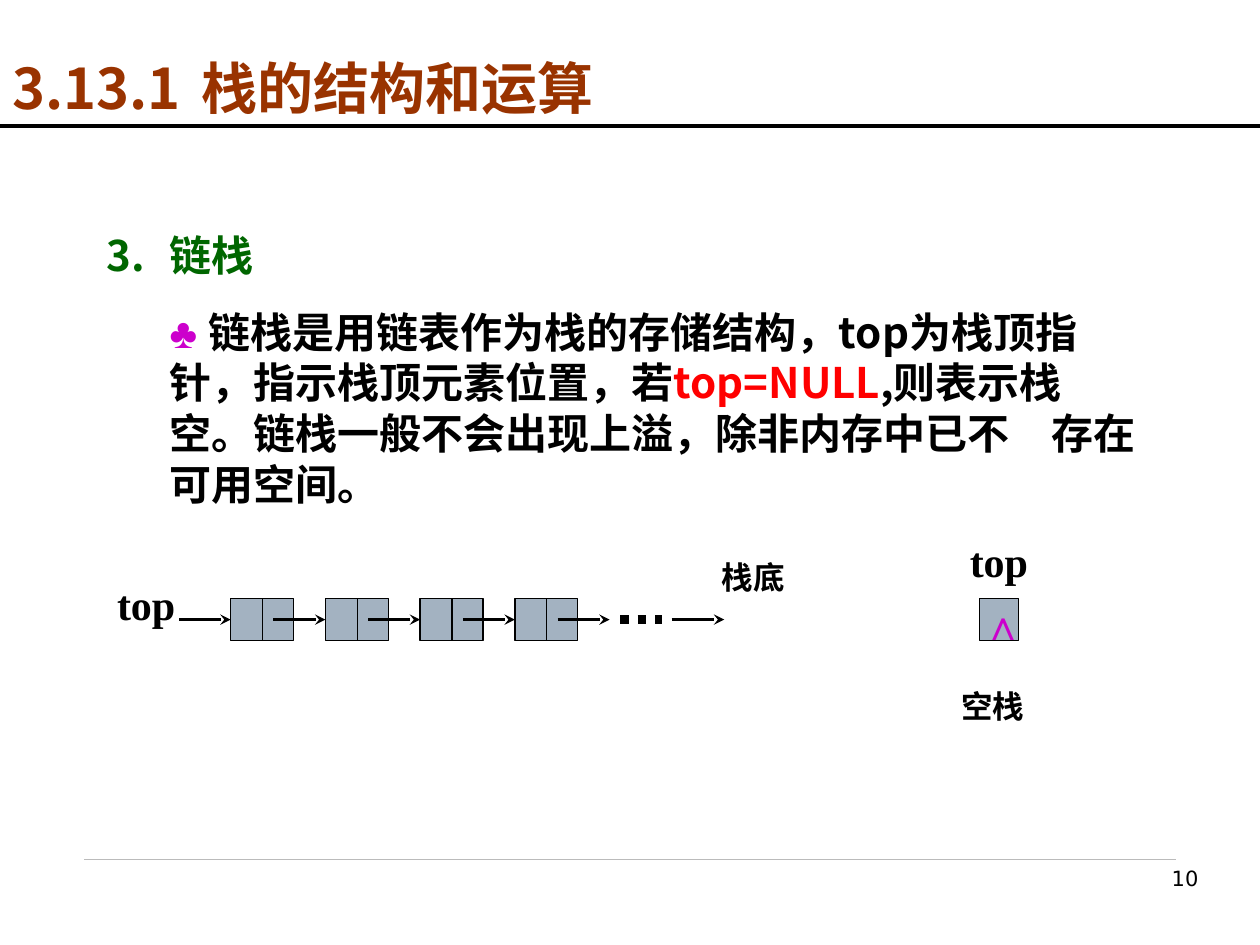
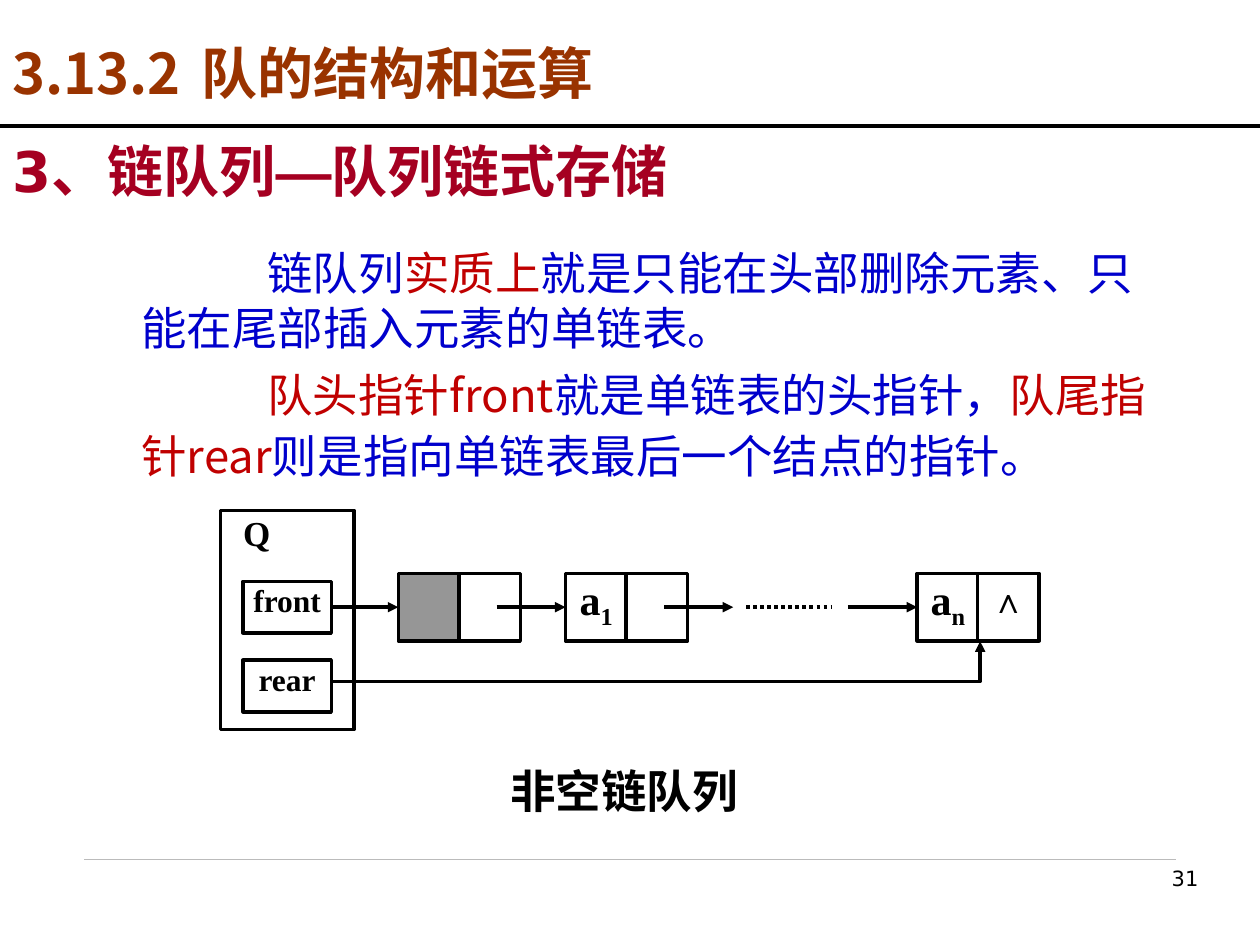
from pptx import Presentation
from pptx.dml.color import RGBColor
from pptx.enum.dml import MSO_LINE
from pptx.enum.shapes import MSO_CONNECTOR, MSO_SHAPE
from pptx.enum.text import MSO_ANCHOR, MSO_AUTO_SIZE, PP_ALIGN
from pptx.oxml.ns import qn
from pptx.util import Cm, Pt
from lxml.etree import SubElement

COLORS = {
    "black": "000000", "white": "FFFFFF", "rule": "BBBBBB",
    "heading": "993300", "subheading": "A50021", "green": "006600",
    "magenta": "CC00CC", "red": "FF0000", "blue": "0000CC",
    "dark_red": "C00000", "node": "A3B2C1", "head_node": "969696",
}
CJK = "Noto Sans CJK SC"
SERIF = "Times New Roman"
HEADING = {"name": CJK, "size": Pt(32), "bold": True, "color": "heading"}
SUBHEADING = {"name": "DejaVu Sans", "size": Pt(32), "bold": True, "color": "subheading"}
STACK_TEXT = {"name": CJK, "size": Pt(24), "bold": True, "color": "black"}
QUEUE_TEXT = {"name": CJK, "size": Pt(26), "bold": False, "color": "blue"}
CAPTION = {"name": CJK, "size": Pt(26), "bold": True, "color": "black"}
PAGE_NUMBER = {"name": "DejaVu Sans", "size": Pt(12), "color": "black"}
LABEL = {"name": SERIF, "size": Pt(24), "bold": True, "color": "black"}
MEDIUM_LABEL = {**LABEL, "size": Pt(20)}
SMALL_LABEL = {**LABEL, "size": Pt(18)}
INSETS = (0.25, 0.13, 0.25, 0.13)
NO_INSETS = (0, 0, 0, 0)


def rgb(name):
    return RGBColor.from_string(COLORS[name])


def add_run(paragraph, text, style):
    run = paragraph.add_run()
    run.text = text
    values = dict(style)
    run.font.color.rgb = rgb(values.pop("color"))
    baseline = values.pop("baseline", None)
    for attribute, value in values.items():
        setattr(run.font, attribute, value)
    properties = run._r.get_or_add_rPr()
    east_asian = CJK if values["name"] != "Arial" else "Arial"
    SubElement(properties, qn("a:ea")).set("typeface", east_asian)
    if baseline:
        properties.set("baseline", baseline)


def write_paragraph(paragraph, runs, style, **format_values):
    for attribute, value in format_values.items():
        setattr(paragraph, attribute, value)
    for text, changes in runs:
        for index, line in enumerate(text.split("\n")):
            if index:
                paragraph.add_line_break()
            add_run(paragraph, line, {**style, **changes})


def set_list_format(paragraph, left, first, start=None, tab=None):
    properties = paragraph._p.get_or_add_pPr()
    properties.set("marL", str(Cm(left)))
    properties.set("indent", str(Cm(first)))
    if start:
        number = SubElement(properties, qn("a:buFont"))
        number.set("typeface", "+mj-lt")
        number = SubElement(properties, qn("a:buAutoNum"))
        number.set("type", "arabicPeriod")
        number.set("startAt", str(start))
    else:
        SubElement(properties, qn("a:buNone"))
    if tab:
        stop = SubElement(SubElement(properties, qn("a:tabLst")), qn("a:tab"))
        stop.set("pos", str(Cm(tab)))
        stop.set("algn", "l")


def prepare_frame(shape, insets=INSETS, anchor=MSO_ANCHOR.TOP):
    frame = shape.text_frame
    left, top, right, bottom = (Cm(inset) for inset in insets)
    values = {
        "word_wrap": True, "auto_size": MSO_AUTO_SIZE.NONE, "vertical_anchor": anchor,
        "margin_left": left, "margin_top": top,
        "margin_right": right, "margin_bottom": bottom,
    }
    for attribute, value in values.items():
        setattr(frame, attribute, value)
    return frame


def place(shape, left, top, width, height):
    shape.left, shape.top = Cm(left), Cm(top)
    shape.width, shape.height = Cm(width), Cm(height)


def add_text(slide, box, runs, style, insets=INSETS, anchor=MSO_ANCHOR.TOP, **format_values):
    text_box = slide.shapes.add_textbox(*(Cm(value) for value in box))
    frame = prepare_frame(text_box, insets, anchor)
    write_paragraph(frame.paragraphs[0], runs, style, **format_values)


def add_line(slide, start, end, width=2, color="black", arrow=None, dash=None,
             source=None, target=None):
    line = slide.shapes.add_connector(
        MSO_CONNECTOR.STRAIGHT, *(Cm(value) for value in (*start, *end)))
    line.line.width = Pt(width)
    line.line.color.rgb = rgb(color)
    if dash:
        line.line.dash_style = dash
    if arrow:
        add_arrowhead(line, arrow)
    SubElement(line._element.spPr, qn("a:effectLst"))
    if source is not None:
        line.begin_connect(source, 3)
    if target is not None:
        line.end_connect(target, 1)


def add_arrowhead(shape, kind):
    SubElement(shape.line._get_or_add_ln(), qn("a:tailEnd")).set("type", kind)


def add_box(slide, box, fill=None, width=2.0, runs=(), style=LABEL, insets=NO_INSETS):
    shape = slide.shapes.add_shape(MSO_SHAPE.RECTANGLE, *(Cm(value) for value in box))
    shape.shadow.inherit = False
    if fill:
        shape.fill.solid()
        shape.fill.fore_color.rgb = rgb(fill)
    else:
        shape.fill.background()
    shape.line.width = Pt(width)
    shape.line.color.rgb = rgb("black")
    if runs:
        frame = prepare_frame(shape, insets)
        write_paragraph(frame.paragraphs[0], runs, style, alignment=PP_ALIGN.CENTER)
    return shape


def add_bent_arrow(slide, points):
    (left, top), *others = [(Cm(x), Cm(y)) for x, y in points]
    builder = slide.shapes.build_freeform(left, top)
    builder.add_line_segments(others, close=False)
    shape = builder.convert_to_shape()
    shape.shadow.inherit = False
    shape.fill.background()
    shape.line.width = Pt(2)
    shape.line.color.rgb = rgb("black")
    add_arrowhead(shape, "triangle")


def add_section_slide(presentation, number, heading, top, page):
    slide = presentation.slides.add_slide(presentation.slide_layouts[1])
    title = slide.shapes.title
    place(title, 0, top, 19.48, 1.63)
    paragraph = prepare_frame(title).paragraphs[0]
    set_list_format(paragraph, 0, 0, tab=4.2)
    write_paragraph(paragraph, [(f"{number}\t{heading}", {})], HEADING,
                    alignment=PP_ALIGN.LEFT, line_spacing=Pt(38))
    add_line(slide, (0, 2.54), (25.4, 2.54), width=2.25)
    add_line(slide, (1.7, 17.32), (23.7, 17.32), width=0.25, color="rule")
    add_text(slide, (18.9, 17.32, 5.51, 1.32), [(page, {})], PAGE_NUMBER,
             alignment=PP_ALIGN.RIGHT)
    return slide


def draw_linked_stack(slide):
    first_left, pitch, top, height, middle = 4.65, 1.91, 12.07, 0.84, 12.49
    lefts = [first_left + index * pitch for index in range(4)]
    nodes = [add_box(slide, (left, top, 1.27, height), "node", 0.75) for left in lefts]
    add_line(slide, (3.61, middle), (first_left, middle), arrow="stealth", target=nodes[0])
    for left, following in zip(lefts, nodes[1:] + [None]):
        divider = left + 0.64
        add_line(slide, (divider, top), (divider, top + height), width=0.75)
        add_line(slide, (left + 0.86, middle), (left + pitch, middle),
                 arrow="stealth", target=following)
    add_line(slide, (12.5, middle), (13.34, middle), width=5, dash=MSO_LINE.ROUND_DOT)
    add_line(slide, (13.54, middle), (14.6, middle), arrow="stealth")
    add_box(slide, (19.74, top, 0.79, height), "node", 0.75)
    add_text(slide, (19.74, 12.07, 0.99, 1.14), [("∧", {"color": "magenta"})], LABEL,
             NO_INSETS, alignment=PP_ALIGN.CENTER)
    for left, label_top in ((2.11, 11.53), (19.3, 10.67)):
        add_text(slide, (left, label_top, 1.75, 1.27), [("top", {})], LABEL)
    for text, left, label_top in (("栈底", 14.3, 11.12), ("空栈", 19.13, 13.71)):
        add_text(slide, (left, label_top, 1.9, 1.02), [(text, {})], SMALL_LABEL,
                 line_spacing=Pt(21.6))


def draw_linked_queue(slide):
    middle, cell_width, cell_height, cell_pitch = 12.24, 1.24, 1.36, 1.22
    cell_top = middle - cell_height / 2

    def add_node(left, data, data_fill="white", link=()):
        first = add_box(slide, (left, cell_top, cell_width, cell_height), data_fill,
                        runs=data, insets=(0.05, 0, 0.05, 0))
        add_box(slide, (left + cell_pitch, cell_top, cell_width, cell_height), "white",
                runs=link, style=MEDIUM_LABEL, insets=(0.05, 0.1, 0.05, 0))
        return first

    add_text(slide, (4.9, 10.31, 1.78, 1.04), [("Q", {})], MEDIUM_LABEL, NO_INSETS)
    head = add_node(8.03, (), "head_node")
    subscript = {"baseline": "-25000"}
    first = add_node(11.4, [("a", {}), ("1", subscript)])
    last = add_node(18.49, [("a", {}), ("n", subscript)], link=[("∧", {})])
    add_box(slide, (4.45, 10.29, 2.69, 4.42))
    front, _ = [add_box(slide, (4.9, top, 1.78, 1.04), runs=[(text, {})], style=SMALL_LABEL)
                for text, top in (("front", middle - 0.52), ("rear", 13.31))]
    for start, end, source, target in ((6.68, 8.03, front, head), (10.01, 11.4, None, first),
                                       (13.39, 14.78, None, None), (17.09, 18.49, None, last)):
        add_line(slide, (start, middle), (end, middle), arrow="triangle",
                 source=source, target=target)
    add_line(slide, (15.04, middle), (16.76, middle), dash=MSO_LINE.ROUND_DOT)
    add_bent_arrow(slide, [(6.68, 13.74), (19.76, 13.74), (19.76, 12.93)])
    add_text(slide, (7.5, 15.26, 10.16, 1.37), [("非空链队列", {})], CAPTION,
             alignment=PP_ALIGN.CENTER, line_spacing=Pt(31))


def build_stack_slide(presentation):
    slide = add_section_slide(presentation, "3.13.1", "栈的结构和运算", 0.96, "10")
    body = slide.placeholders[1]
    place(body, 1.9, 4.48, 21.59, 5.87)
    frame = prepare_frame(body)
    topic = frame.paragraphs[0]
    set_list_format(topic, 1.27, -1.27, start=3)
    write_paragraph(topic, [("链栈", {"color": "green"})], STACK_TEXT,
                    space_before=Pt(0), line_spacing=Pt(29))
    detail = frame.add_paragraph()
    set_list_format(detail, 1.27, 0, tab=17.78)
    write_paragraph(detail, [
        ("♣ ", {"name": "Arial", "color": "magenta"}),
        ("链栈是用链表作为栈的存储结构，top为栈顶指\n针，指示栈顶元素位置，若", {}),
        ("top=NULL", {"color": "red"}),
        (",则表示栈\n空。链栈一般不会出现上溢，除非内存中已不\t存在可用空间。", {}),
    ], STACK_TEXT, space_before=Pt(15), line_spacing=Pt(29))
    draw_linked_stack(slide)


def build_queue_slide(presentation):
    slide = add_section_slide(presentation, "3.13.2", "队的结构和运算", 0.65, "31")
    add_text(slide, (0, 2.21, 22.23, 2.03),
             [("3、链队列", {}), ("—", {"name": "Arial"}), ("队列链式存储", {})],
             SUBHEADING, anchor=MSO_ANCHOR.BOTTOM)
    body = slide.placeholders[1]
    place(body, 1.3, 4.82, 22.23, 5.41)
    frame = prepare_frame(body)
    emphasis = {"color": "dark_red"}
    definition = frame.paragraphs[0]
    pointers = frame.add_paragraph()
    for paragraph in (definition, pointers):
        set_list_format(paragraph, 1.3, 2.54)
    write_paragraph(definition, [
        ("链队列", {}), ("实质上", emphasis),
        ("就是只能在头部删除元素、只能在尾部插入元素的单链表。", {}),
    ], QUEUE_TEXT, space_before=Pt(0), line_spacing=Pt(31))
    write_paragraph(pointers, [
        ("队头指针front", emphasis), ("就是单链表的头指针，", {}),
        ("队尾指针rear", emphasis), ("则是指向单链表最后一个结点的指针。", {}),
    ], QUEUE_TEXT, space_before=Pt(3.5), line_spacing=Pt(35))
    draw_linked_queue(slide)


def main():
    presentation = Presentation()
    presentation.slide_width, presentation.slide_height = Cm(25.4), Cm(19.05)
    build_stack_slide(presentation)
    build_queue_slide(presentation)
    presentation.save("out.pptx")


if __name__ == "__main__":
    main()
